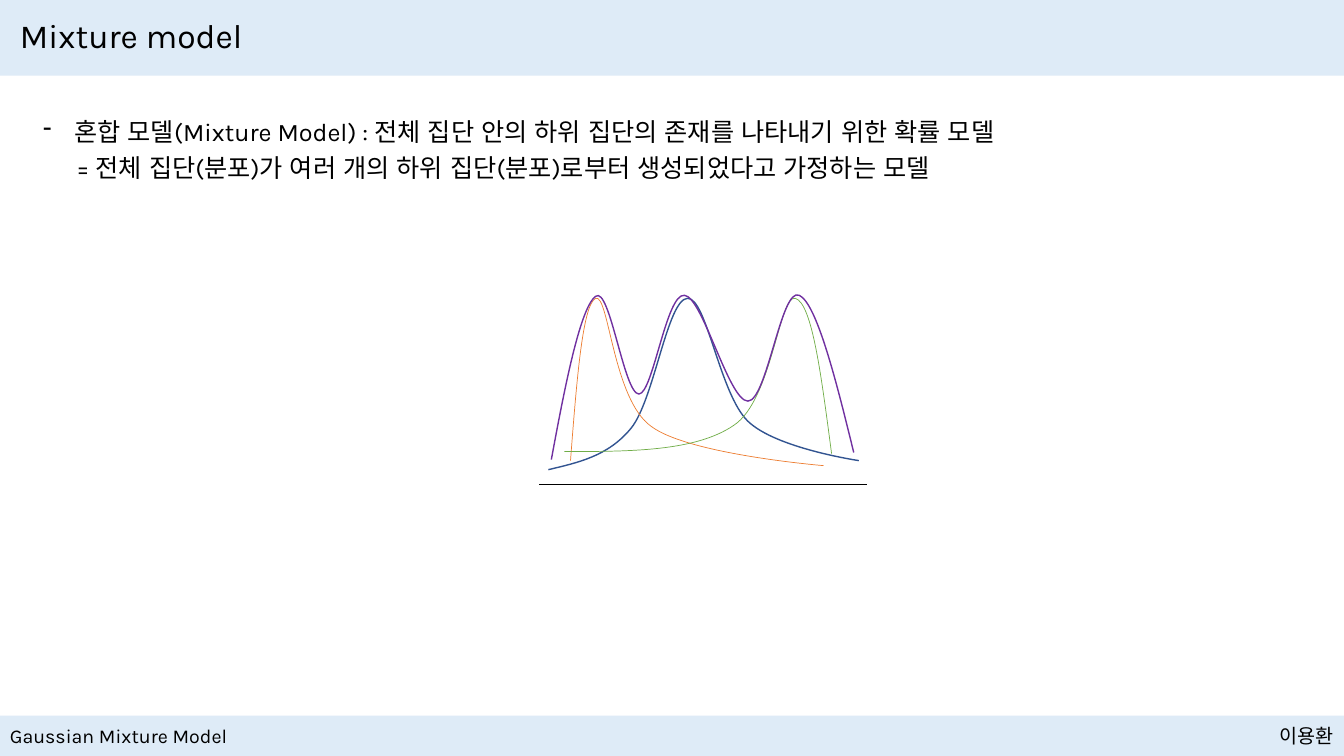
from pptx import Presentation
from pptx.dml.color import RGBColor
from pptx.enum.lang import MSO_LANGUAGE_ID
from pptx.enum.shapes import MSO_CONNECTOR, MSO_SHAPE
from pptx.enum.text import MSO_ANCHOR, MSO_AUTO_SIZE, PP_ALIGN
from pptx.oxml.ns import qn
from pptx.util import Pt
from lxml.etree import SubElement

PX = 9144  # 100 px to the inch
BLACK, BAND = "000000", "DEEBF7"
color = RGBColor.from_string

deck = Presentation()
deck.slide_width, deck.slide_height = 4000 * PX // 3, 750 * PX
page = deck.slides.add_slide(deck.slide_layouts[6])


def add_text(text, left, top, width, height, size=18, align=PP_ALIGN.LEFT,
             anchor=MSO_ANCHOR.TOP, fit=MSO_AUTO_SIZE.SHAPE_TO_FIT_TEXT,
             spacing=None, bullet=None, indent=0):
    box = page.shapes.add_textbox(left * PX, top * PX, width * PX, height * PX)
    frame = box.text_frame
    frame.word_wrap, frame.auto_size, frame.vertical_anchor = True, fit, anchor
    para = frame.paragraphs[0]
    para.alignment = align
    para.line_spacing = spacing
    span = para.add_run()
    span.text = text
    span.font.size, span.font.name = Pt(size), "Karla"
    span.font.color.rgb = color(BLACK)
    span.font.language_id = MSO_LANGUAGE_ID.KOREAN
    if bullet:
        props = para._p.get_or_add_pPr()
        props.set("marL", str(indent * PX))
        props.set("indent", str(-indent * PX))
        SubElement(props, qn("a:buFontTx"))
        SubElement(props, qn("a:buChar"), char=bullet)


def add_curve(points, line_color, weight):
    """Draw a smooth outline: a start point, then two handles and an end per segment."""
    points = [(x * PX, y * PX) for x, y in points]
    builder = page.shapes.build_freeform(*points[0])
    builder.add_line_segments(points[3::3], close=False)
    curve = builder.convert_to_shape()
    # Turn each straight piece into a Bezier segment
    for i, piece in enumerate(list(curve._element.iter(qn("a:lnTo")))):
        piece.tag = qn("a:cubicBezTo")
        for place, (x, y) in enumerate(points[3 * i + 1:3 * i + 3]):
            handle = SubElement(piece, qn("a:pt"), x=str(x - curve.left), y=str(y - curve.top))
            piece.insert(place, handle)
    curve.shadow.inherit = False
    curve.fill.background()
    curve.line.color.rgb = color(line_color)
    curve.line.width = Pt(weight)


# Header and footer bands
for top, height in ((0, 75), (710, 40)):
    band = page.shapes.add_shape(MSO_SHAPE.RECTANGLE, 0, top * PX, deck.slide_width, height * PX)
    band.shadow.inherit = False
    band.fill.solid()
    band.fill.fore_color.rgb = color(BAND)
    band.line.fill.background()

add_text("Gaussian Mixture Model", 0, 713, 240, 34, size=14)
add_text("이용환", 1242, 713, 91, 34, size=14, align=PP_ALIGN.RIGHT)
add_text("Mixture model", 10, 10, 1314, 55, size=24, anchor=MSO_ANCHOR.MIDDLE,
         fit=MSO_AUTO_SIZE.NONE, spacing=0.9)

# Definition
add_text("혼합 모델(Mixture Model) : 전체 집단 안의 하위 집단의 존재를 나타내기 위한 확률 모델",
         33, 110, 1266, 40, bullet="-", indent=31)

# Component distributions, each with its base line
AXIS_Y = 481
components = [
    (535, 860, "325491", 1,
     [(544, 466), (573, 459), (603, 453), (626, 425), (649, 397), (662, 297), (682, 296),
      (701, 295), (714, 391), (742, 418), (770, 445), (852, 457), (852, 457)]),
    (565, 830, "ED7D31", 0.5,
     [(566, 457), (572, 379), (578, 302), (591, 296), (604, 291), (608, 396), (646, 423),
      (683, 451), (817, 462), (817, 462)]),
    (559, 836, "70AD47", 0.5,
     [(560, 448), (625, 448), (690, 448), (728, 422), (766, 397), (773, 292), (789, 296),
      (806, 301), (815, 375), (825, 450)]),
]
for left, right, line_color, weight, points in components:
    base = page.shapes.add_connector(MSO_CONNECTOR.STRAIGHT, left * PX, AXIS_Y * PX,
                                     right * PX, AXIS_Y * PX)
    base.line.color.rgb = color(BLACK)
    base.line.width = Pt(0.5)
    SubElement(base._element.spPr, qn("a:effectLst"))
    add_curve(points, line_color, weight)

# Definition in other words
add_text("= 전체 집단(분포)가 여러 개의 하위 집단(분포)로부터 생성되었다고 가정하는 모델",
         66, 146, 1233, 40)

# Mixture of the three
mixture = [(547, 456), (561, 380), (576, 305), (591, 294), (605, 283), (619, 391), (634, 391),
           (648, 390), (661, 291), (679, 293), (697, 294), (723, 398), (742, 398),
           (761, 398), (775, 284), (793, 293), (810, 301), (829, 375), (847, 449)]
add_curve(mixture, "7030A0", 1)

deck.save("out.pptx")
